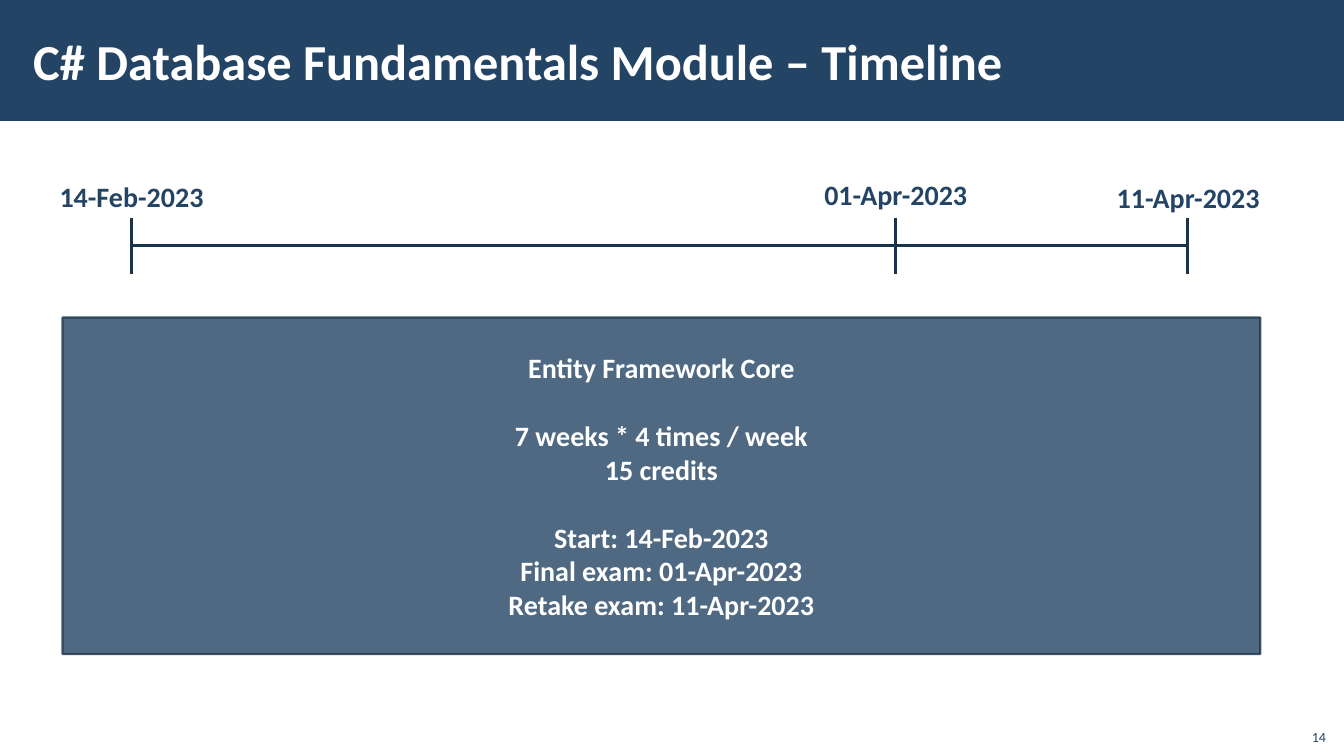
import pptx
import pptx.dml.color
import pptx.enum.shapes
import pptx.enum.text
import pptx.oxml.ns
import pptx.util
from lxml import etree

PX = 9144  # EMU per px, 100 px to the inch
FONT = "Calibri"
COLORS = {"navy": "234465", "line": "1A334C", "white": "FFFFFF"}
ALIGN = pptx.enum.text.PP_ALIGN
ANCHOR = pptx.enum.text.MSO_ANCHOR


def px(*lengths):
    return [pptx.util.Emu(n * PX) for n in lengths]


def rgb(name):
    return pptx.dml.color.RGBColor.from_string(COLORS[name])


def style(p, size, color, bold=True, align=ALIGN.LEFT):
    p.alignment = align
    p.font.name = FONT
    p.font.size = pptx.util.Pt(size)
    p.font.bold = bold
    p.font.color.rgb = rgb(color)


def set_opacity(fill, percent):
    """Make a solid fill, of a shape or of its outline, partly transparent."""
    color = fill._xPr.find(".//" + pptx.oxml.ns.qn("a:srgbClr"))
    etree.SubElement(color, pptx.oxml.ns.qn("a:alpha"), val=str(percent * 1000))


def add_rect(s, box, color):
    rect = s.shapes.add_shape(pptx.enum.shapes.MSO_SHAPE.RECTANGLE, *px(*box))
    rect.shadow.inherit = False
    rect.fill.solid()
    rect.fill.fore_color.rgb = rgb(color)
    rect.line.fill.background()
    return rect


def add_text(s, box, text, size, color, anchor=ANCHOR.TOP, wrap=True, **font):
    tf = s.shapes.add_textbox(*px(*box)).text_frame
    tf.word_wrap = wrap
    tf.vertical_anchor = anchor
    tf.text = text
    style(tf.paragraphs[0], size, color, **font)
    return tf


def add_line(s, x1, y1, x2, y2):
    line = s.shapes.add_connector(pptx.enum.shapes.MSO_CONNECTOR.STRAIGHT, *px(x1, y1, x2, y2))
    line.line.color.rgb = rgb("line")
    line.line.width = pptx.util.Pt(2.25)
    etree.SubElement(line._element.spPr, pptx.oxml.ns.qn("a:effectLst"))


def add_header(s, x, y, w, h, title):
    add_rect(s, (x, y, w, h), "navy")
    tf = add_text(s, (x + 21, y + 11, 1063, h - 23), title, 36, "white", ANCHOR.MIDDLE)
    tf.margin_left, tf.margin_right = px(12, 12)
    tf.margin_top, tf.margin_bottom = px(4, 4)


def add_timeline(s, x, y, w, milestones):
    """Draw an axis with a tick and a date for each (offset, label top, date)."""
    tick, label_w, label_h = 28, 165, 44
    add_line(s, x, y, x + w, y)
    for offset, top, date in milestones:
        center = x + offset
        add_line(s, center, y - tick, center, y + tick)
        add_text(s, (center - label_w // 2, top, label_w, label_h), date, 20, "navy",
                 wrap=False, align=ALIGN.CENTER)


def add_course_card(s, x, y, w, h, groups):
    """Draw a card whose groups of lines are set apart by one line height."""
    card = add_rect(s, (x, y, w, h), "navy")
    set_opacity(card.fill, 80)
    card.line.color.rgb = rgb("line")
    card.line.width = pptx.util.Pt(1.5)
    set_opacity(card.line.fill, 80)
    tf = card.text_frame
    tf.word_wrap = True
    tf.vertical_anchor = ANCHOR.MIDDLE
    tf.text = "\n".join(line for group in groups for line in group)
    for p in tf.paragraphs:
        style(p, 20, "white", align=ALIGN.CENTER)
    first = 0
    for group in groups[:-1]:
        first += len(group)
        tf.paragraphs[first].space_before = pptx.util.Pt(24.4)


def add_page_number(s, x, y, w, h, number):
    add_text(s, (x, y, w, h), number, 10, "navy", ANCHOR.BOTTOM, bold=False, align=ALIGN.RIGHT)


def main():
    prs = pptx.Presentation()
    prs.slide_width, prs.slide_height = px(1333, 750)
    s = prs.slides.add_slide(prs.slide_layouts[6])
    add_header(s, 0, 0, 1333, 120, "C# Database Fundamentals Module – Timeline")
    add_timeline(s, 130, 244, 1048, [
        (0, 173, "14-Feb-2023"),
        (758, 171, "01-Apr-2023"),
        (1048, 174, "11-Apr-2023"),
    ])
    add_course_card(s, 62, 315, 1188, 334, [
        ["Entity Framework Core"],
        ["7 weeks * 4 times / week", "15 credits"],
        ["Start: 14-Feb-2023", "Final exam: 01-Apr-2023", "Retake exam: 11-Apr-2023"],
    ])
    add_page_number(s, 1285, 712, 40, 32, "14")
    prs.save("out.pptx")


if __name__ == "__main__":
    main()
